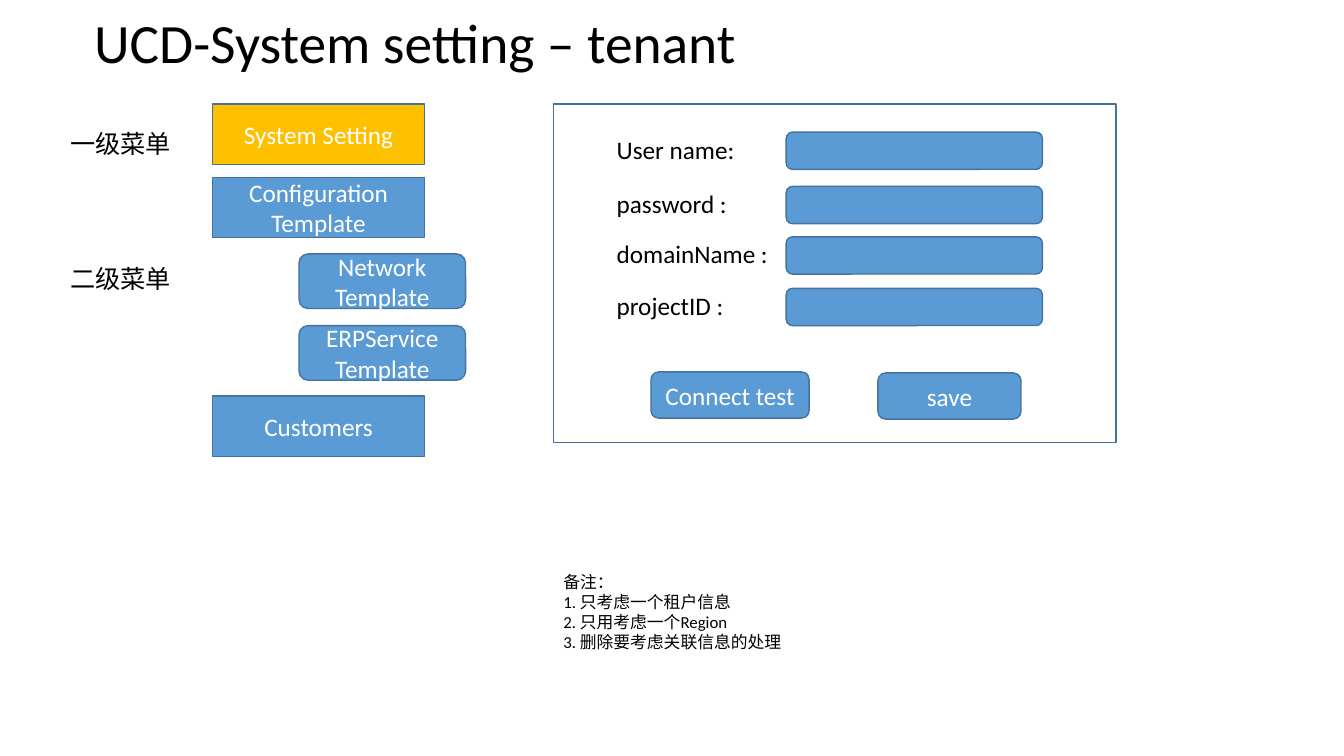
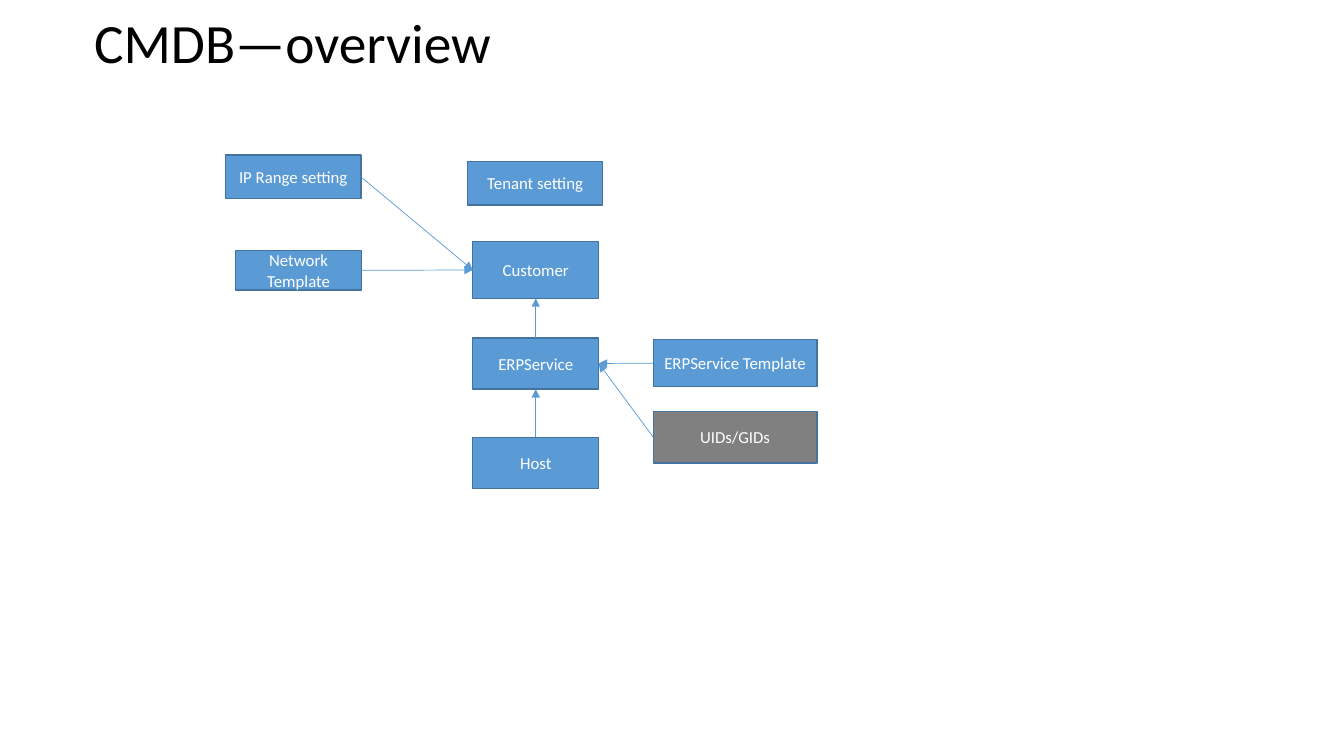
from lxml import etree
from pptx import Presentation
from pptx.dml.color import RGBColor
from pptx.enum.shapes import MSO_CONNECTOR, MSO_SHAPE
from pptx.enum.text import MSO_ANCHOR, MSO_AUTO_SIZE, PP_ALIGN
from pptx.oxml.ns import qn
from pptx.util import Pt

RECT, ROUND = MSO_SHAPE.RECTANGLE, MSO_SHAPE.ROUNDED_RECTANGLE
STRAIGHT = MSO_CONNECTOR.STRAIGHT
LEFT, CENTER = PP_ALIGN.LEFT, PP_ALIGN.CENTER
MIDDLE = MSO_ANCHOR.MIDDLE
NO_FIT = MSO_AUTO_SIZE.NONE
TOP, WEST, FOOT, EAST = range(4)  # connection sites of a rectangle

BLUE = RGBColor(0x5B, 0x9B, 0xD5)
EDGE = RGBColor(0x43, 0x73, 0x9E)
GOLD = RGBColor(0xFF, 0xC0, 0x00)
GRAY = RGBColor(0x80, 0x80, 0x80)
BLACK = RGBColor(0, 0, 0)
WHITE = RGBColor(0xFF, 0xFF, 0xFF)
FONT = "Calibri"

# Tenant slide: text, top, fill
MENU = [
    ("System Setting", 74.2, GOLD),
    ("Configuration Template", 126.7, BLUE),
    ("Customers", 283, BLUE),
]
SUBMENU = [("Network Template", 181.4), ("ERPService Template", 232.6)]
LEVELS = [("一级菜单", 88), ("二级菜单", 184.3)]
FORM = (395.3, 74.2, 401.8, 242)
FIELDS = [
    ("User name:", 92.2),
    ("password :", 131),
    ("domainName :", 167),
    ("projectID :", 203.8),
]
BUTTONS = [
    ("Connect test", (465, 265.7, 113, 33)),
    ("save", (627.1, 266.4, 102.2, 33)),
]
NOTES = [
    "备注：",
    "1. 只考虑一个租户信息",
    "2. 只用考虑一个Region",
    "3. 删除要考虑关联信息的处理",
]

# Overview slide: text, area, fill
NODES = {
    "tenant": ("Tenant setting", (334.1, 115.2, 96.5, 31.3), BLUE),
    "range": ("IP Range setting", (161.3, 110.7, 96.5, 31.3), BLUE),
    "client": ("Customer", (337.7, 172.6, 90, 40.5), BLUE),
    "net": ("Network Template", (168.3, 179.1, 90, 28), BLUE),
    "service": ("ERPService", (337.7, 241.3, 90, 36.7), BLUE),
    "model": ("ERPService Template", (466.6, 242.5, 117, 33.8), BLUE),
    "ids": ("UIDs/GIDs", (466.6, 293.9, 117, 36.7), GRAY),
    "host": ("Host", (337.7, 312.3, 90, 36.7), BLUE),
}
LINKS = [
    ("net", EAST, "client", WEST),
    ("range", EAST, "client", WEST),
    ("service", TOP, "client", FOOT),
    ("model", WEST, "service", EAST),
    ("ids", WEST, "service", EAST),
    ("host", TOP, "service", FOOT),
]


def points(area):
    """Turn plain numbers into lengths in points."""
    return [Pt(n) for n in area]


def write(frame, lines, size, color, align=LEFT):
    """Fill a text frame with one paragraph per line."""
    frame.word_wrap = True
    frame.text = "\n".join(lines)
    for para in frame.paragraphs:
        para.alignment = align
        para.font.name = FONT
        para.font.size = Pt(size)
        para.font.color.rgb = color


def start(deck, title):
    """Add a slide with the shared title style."""
    slide = deck.slides.add_slide(deck.slide_layouts[5])
    head = slide.shapes.title
    head.left, head.top, head.width, head.height = points((60, 8.6, 828, 47.5))
    frame = head.text_frame
    write(frame, [title], 39.6, BLACK)
    frame.auto_size = NO_FIT
    frame.vertical_anchor = MIDDLE
    frame.paragraphs[0].line_spacing = 0.9
    return slide


def label(slide, lines, area, size=18):
    """Add plain black text."""
    text = slide.shapes.add_textbox(*points(area))
    write(text.text_frame, lines, size, BLACK)


def box(slide, area, text="", kind=RECT, fill=BLUE, size=18):
    """Add an outlined shape, with centred white text if there is any."""
    shape = slide.shapes.add_shape(kind, *points(area))
    shape.shadow.inherit = False
    if fill is None:
        shape.fill.background()
    else:
        shape.fill.solid()
        shape.fill.fore_color.rgb = fill
    shape.line.color.rgb = EDGE
    shape.line.width = Pt(1)
    if text:
        write(shape.text_frame, [text], size, WHITE, CENTER)
        shape.text_frame.vertical_anchor = MIDDLE
    return shape


def arrow(slide, tail, exit_site, head, entry_site):
    """Join two shapes with a thin arrow."""
    link = slide.shapes.add_connector(STRAIGHT, 0, 0, 0, 0)
    link.begin_connect(tail, exit_site)
    link.end_connect(head, entry_site)
    link.line.color.rgb = BLUE
    link.line.width = Pt(0.5)
    props = link._element.spPr
    etree.SubElement(props.find(qn("a:ln")), qn("a:tailEnd"), type="triangle")
    etree.SubElement(props, qn("a:effectLst"))


def tenant(deck):
    """Build the menu, the tenant form and its remarks."""
    slide = start(deck, "UCD-System setting – tenant")
    for text, top, fill in MENU:
        box(slide, (152, top, 151.2, 43.2), text, fill=fill)
    for text, top in SUBMENU:
        box(slide, (213.6, top, 119, 39), text, ROUND)
    for text, top in LEVELS:
        label(slide, [text], (43.2, top, 100, 29))
    box(slide, FORM, fill=None)
    for text, top in FIELDS:
        label(slide, [text], (433.4, top, 126, 29))
        box(slide, (561.6, top + 2.2, 183, 26.6), kind=ROUND)
    for text, area in BUTTONS:
        box(slide, area, text, ROUND)
    label(slide, NOTES, (395.3, 404.6, 283.7, 65.5), 12)


def overview(deck):
    """Build the map of linked records."""
    slide = start(deck, "CMDB—overview")
    made = {
        name: box(slide, area, text, fill=fill, size=12)
        for name, (text, area, fill) in NODES.items()
    }
    for tail, exit_site, head, entry_site in LINKS:
        arrow(slide, made[tail], exit_site, made[head], entry_site)


deck = Presentation()
deck.slide_width, deck.slide_height = Pt(960), Pt(540)
tenant(deck)
overview(deck)
deck.save("out.pptx")
